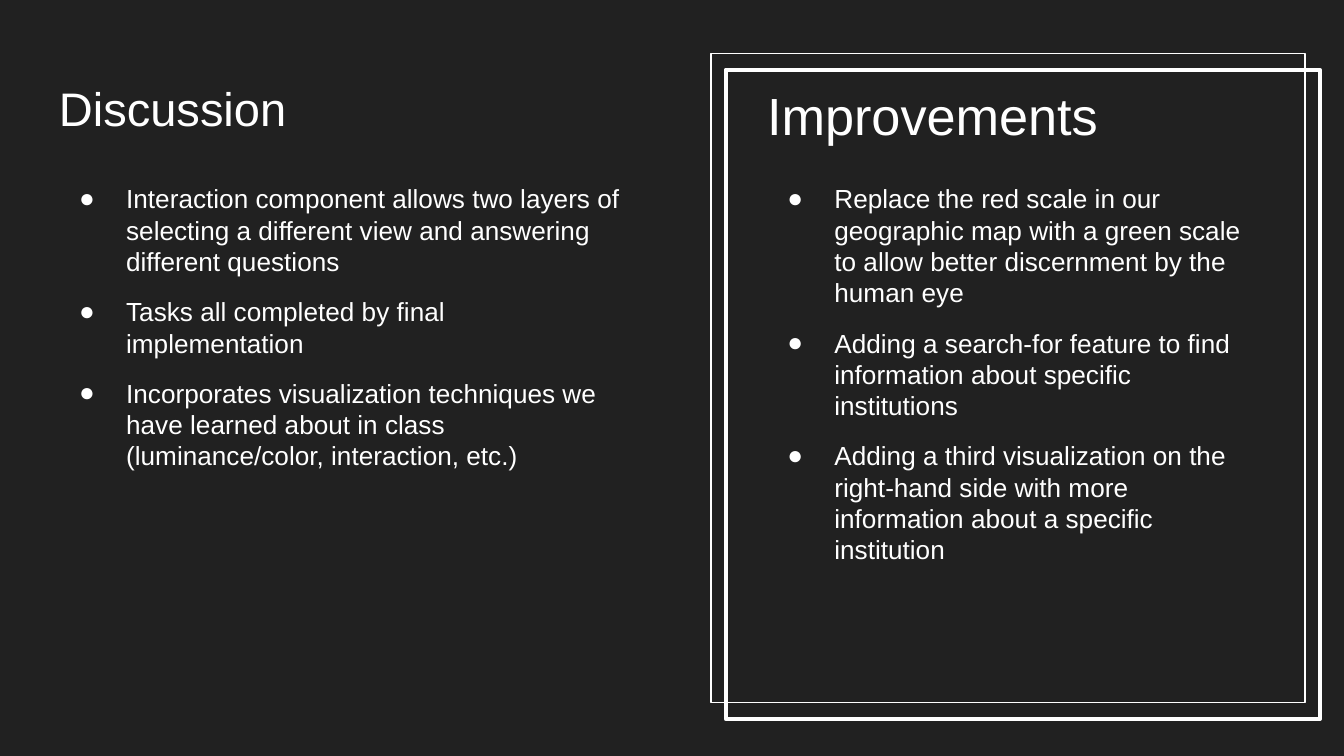
from lxml import etree
from pptx import Presentation
from pptx.dml.color import RGBColor
from pptx.enum.shapes import MSO_SHAPE
from pptx.enum.text import MSO_ANCHOR
from pptx.oxml.ns import qn
from pptx.util import Inches, Pt

RECT = MSO_SHAPE.RECTANGLE
TOP = MSO_ANCHOR.TOP
BLANK = 6
WIDTH = 10
HEIGHT = WIDTH * 9 / 16

DISCUSSION = [
    "Interaction component allows two layers of selecting a different view "
    "and answering different questions",
    "Tasks all completed by final implementation",
    "Incorporates visualization techniques we have learned about in class "
    "(luminance/color, interaction, etc.)",
]
IMPROVEMENTS = [
    "Replace the red scale in our geographic map with a green scale to allow "
    "better discernment by the human eye",
    "Adding a search-for feature to find information about specific institutions",
    "Adding a third visualization on the right-hand side with more information "
    "about a specific institution",
]


def color(code):
    return RGBColor.from_string(code)


class Deck:
    font = "Arial"
    ink = "FFFFFF"
    paper = "212121"

    def __init__(self):
        self.file = Presentation()
        self.file.slide_width = Inches(WIDTH)
        self.file.slide_height = Inches(HEIGHT)
        self.slide = self.file.slides.add_slide(self.file.slide_layouts[BLANK])
        fill = self.slide.background.fill
        fill.solid()
        fill.fore_color.rgb = color(self.paper)

    def frame(self, left, top, width, height, weight):
        box = self.slide.shapes.add_shape(
            RECT, Inches(left), Inches(top), Inches(width), Inches(height))
        box.shadow.inherit = False
        box.fill.background()
        box.line.color.rgb = color(self.ink)
        box.line.width = Pt(weight)

    def text(self, left, top, width, height, lines, size):
        """Add a text box with one paragraph per line and return its frame."""
        box = self.slide.shapes.add_textbox(
            Inches(left), Inches(top), Inches(width), Inches(height))
        body = box.text_frame
        body.word_wrap = True
        body.vertical_anchor = TOP
        body.margin_left = body.margin_right = Inches(0.1)
        body.margin_top = body.margin_bottom = Inches(0.1)
        body.text = "\n".join(lines)
        for para in body.paragraphs:
            para.line_spacing = 1.0
            for run in para.runs:
                run.font.name = self.font
                run.font.size = Pt(size)
                run.font.color.rgb = color(self.ink)
        return body

    def title(self, left, top, width, height, words, size):
        self.text(left, top, width, height, [words], size)

    def bullets(self, left, top, width, height, lines):
        body = self.text(left, top, width, height, lines, 14)
        for i, para in enumerate(body.paragraphs):
            para.space_before = Pt(10 if i else 0)
            props = para._p.get_or_add_pPr()
            props.set("marL", str(Inches(0.5)))
            props.set("indent", str(Inches(-0.35)))
            tint = etree.SubElement(props, qn("a:buClr"))
            etree.SubElement(tint, qn("a:srgbClr"), val=self.ink)
            etree.SubElement(props, qn("a:buFont"), typeface=self.font)
            etree.SubElement(props, qn("a:buChar"), char="●")


def main():
    deck = Deck()
    deck.frame(5.4, 0.52, 4.42, 4.83, 2.25)
    deck.frame(5.29, 0.4, 4.42, 4.83, 0.75)
    deck.title(0.34, 0.49, 9.32, 0.63, "Discussion", 25.2)
    deck.bullets(0.34, 1.26, 4.38, 3.74, DISCUSSION)
    deck.bullets(5.61, 1.26, 3.85, 3.74, IMPROVEMENTS)
    deck.title(5.61, 0.52, 4.37, 2.29, "Improvements", 28)
    deck.file.save("out.pptx")


if __name__ == "__main__":
    main()
